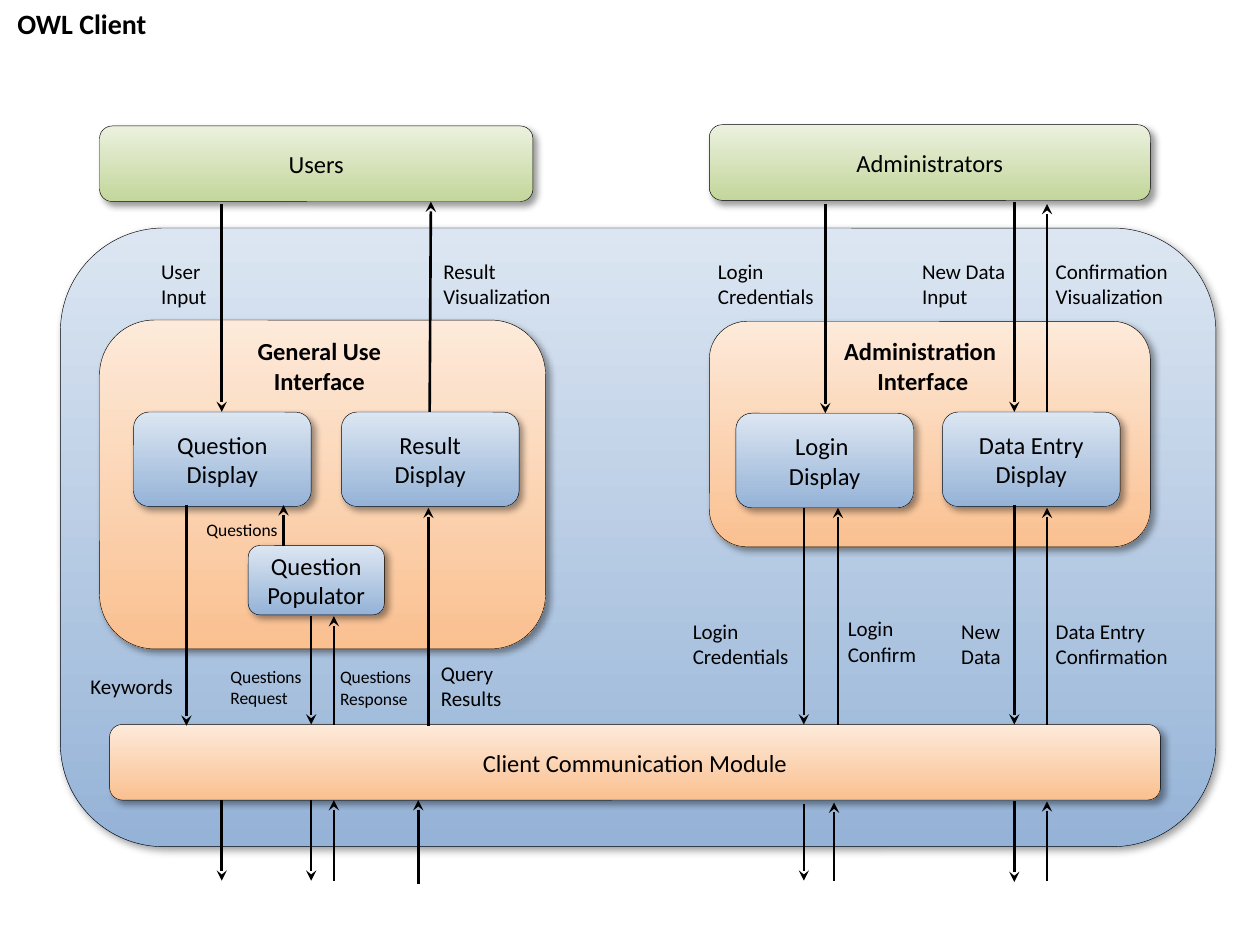
import pptx
import pptx.dml.color
import pptx.enum.shapes
import pptx.enum.text
import pptx.oxml
import pptx.oxml.ns
import pptx.util
from pptx.util import Inches

COLORS = {
    "ink": "000000",
    "blue": ("DCE6F2", "95B3D7"),
    "orange": ("FDEADA", "FAC090"),
    "green": ("EBF1DE", "C3D69B"),
}
INK = pptx.dml.color.RGBColor.from_string(COLORS["ink"])
NS = pptx.oxml.ns.nsdecls("a")
SHADOW = (
    f'<a:effectLst {NS}><a:outerShdw blurRad="50800" dist="38100" dir="2700000" '
    f'algn="tl" rotWithShape="0"><a:srgbClr val="{COLORS["ink"]}">'
    '<a:alpha val="40000"/></a:srgbClr></a:outerShdw></a:effectLst>'
)
LEFT = pptx.enum.text.PP_ALIGN.LEFT
CENTER = pptx.enum.text.PP_ALIGN.CENTER


def write_lines(frame, lines, size, align, bold=False):
    """Fill a text frame with one paragraph per line."""
    for index, line in enumerate(lines):
        para = frame.add_paragraph() if index else frame.paragraphs[0]
        para.alignment = align
        span = para.add_run()
        span.text = line
        span.font.name = "Calibri"
        span.font.size = pptx.util.Pt(size)
        span.font.bold = bold
        span.font.color.rgb = INK


deck = pptx.Presentation()
deck.slide_width, deck.slide_height = Inches(10), Inches(7.5)
page = deck.slides.add_slide(deck.slide_layouts[5])

title = page.shapes.title
title.left, title.top = Inches(0.03), Inches(0)
title.width, title.height = Inches(1.24), Inches(0.37)
title.text_frame.word_wrap = False
title.text_frame.auto_size = pptx.enum.text.MSO_AUTO_SIZE.NONE
title.text_frame.vertical_anchor = pptx.enum.text.MSO_ANCHOR.TOP
write_lines(title.text_frame, ["OWL Client"], 16, CENTER, bold=True)

# Panels and modules, back to front: left, top, width, height, colour, lines
modules = [
    (0.48, 1.81, 9.17, 4.91, "blue", []),
    (5.63, 2.55, 3.5, 1.79, "orange", []),
    (0.79, 2.54, 3.54, 2.61, "orange", []),
    (0.79, 1, 3.44, 0.6, "green", ["Users"]),
    (5.63, 0.99, 3.5, 0.6, "green", ["Administrators"]),
    (1.06, 3.27, 1.41, 0.75, "blue", ["Question", "Display"]),
    (2.71, 3.27, 1.41, 0.75, "blue", ["Result", "Display"]),
    (7.48, 3.27, 1.41, 0.75, "blue", ["Data Entry", "Display"]),
    (5.84, 3.28, 1.41, 0.75, "blue", ["Login ", "Display"]),
    (0.87, 5.75, 8.34, 0.6, "orange", ["Client Communication Module"]),
    (1.97, 4.33, 1.08, 0.55, "blue", ["Question Populator"]),
]
for left, top, width, height, color, lines in modules:
    box = page.shapes.add_shape(
        pptx.enum.shapes.MSO_SHAPE.ROUNDED_RECTANGLE,
        Inches(left), Inches(top), Inches(width), Inches(height))
    box.fill.gradient()
    box.fill.gradient_angle = 270
    for stop, shade in zip(box.fill.gradient_stops, COLORS[color]):
        stop.color.rgb = pptx.dml.color.RGBColor.from_string(shade)
    box.line.color.rgb = INK
    box.line.width = pptx.util.Pt(0.25)
    box._element.spPr.append(pptx.oxml.parse_xml(SHADOW))
    box.text_frame.word_wrap = True
    box.text_frame.vertical_anchor = pptx.enum.text.MSO_ANCHOR.MIDDLE
    write_lines(box.text_frame, lines, 14, CENTER)

# Arrows: start x, start y, end x, end y
arrows = [
    # People and displays
    (1.76, 1.62, 1.76, 3.27),
    (3.41, 3.27, 3.42, 1.6),
    (6.55, 1.62, 6.55, 3.28),
    (8.05, 1.6, 8.05, 3.27),
    (8.31, 3.27, 8.31, 1.62),
    # Displays, populator and communication module
    (1.48, 4.01, 1.48, 5.76),
    (2.25, 4.33, 2.25, 4.01),
    (2.47, 4.89, 2.47, 5.75),
    (2.65, 5.75, 2.65, 4.89),
    (3.4, 5.76, 3.4, 4.03),
    (6.38, 4.03, 6.38, 5.75),
    (6.65, 5.75, 6.65, 4.03),
    (8.05, 4.01, 8.05, 5.75),
    (8.31, 5.75, 8.31, 4.03),
    # Communication module and the outside
    (1.76, 6.35, 1.76, 6.99),
    (2.47, 6.35, 2.47, 6.99),
    (2.65, 6.99, 2.65, 6.35),
    (3.32, 7.02, 3.32, 6.35),
    (6.38, 6.38, 6.38, 6.99),
    (6.62, 6.99, 6.62, 6.37),
    (8.05, 6.36, 8.05, 7),
    (8.31, 6.99, 8.31, 6.36),
]
for ends in arrows:
    arrow = page.shapes.add_connector(
        pptx.enum.shapes.MSO_CONNECTOR.STRAIGHT, *map(Inches, ends))
    arrow.line.color.rgb = INK
    arrow.line.width = pptx.util.Pt(1.5)
    arrow.line._get_or_add_ln().append(
        pptx.oxml.parse_xml(f'<a:tailEnd {NS} type="stealth"/>'))
    arrow._element.spPr.append(pptx.oxml.parse_xml(f"<a:effectLst {NS}/>"))

# Labels: left, top, width, height, size, lines
labels = [
    (1.93, 2.62, 1.21, 0.57, 14, ["General Use ", "Interface"]),
    (6.59, 2.62, 1.47, 0.57, 14, ["Administration ", "Interface"]),
    (1.18, 2, 0.56, 0.5, 12, ["User", "Input"]),
    (3.42, 2, 1.06, 0.5, 12, ["Result", "Visualization"]),
    (5.6, 2, 0.97, 0.5, 12, ["Login", "Credentials"]),
    (7.22, 2, 0.87, 0.5, 12, ["New Data", "Input"]),
    (8.28, 2, 1.1, 0.5, 12, ["Confirmation", "Visualization"]),
    (0.62, 5.3, 0.86, 0.3, 12, ["Keywords"]),
    (3.4, 5.19, 0.69, 0.5, 12, ["Query", "Results"]),
    (5.4, 4.86, 0.97, 0.5, 12, ["Login", "Credentials"]),
    (6.63, 4.84, 0.75, 0.5, 12, ["Login", "Confirm"]),
    (7.53, 4.86, 0.55, 0.5, 12, ["New", "Data"]),
    (8.28, 4.86, 1.1, 0.5, 12, ["Data Entry", "Confirmation"]),
    (1.54, 4.07, 0.78, 0.27, 10, ["Questions"]),
    (1.73, 5.24, 0.78, 0.44, 10, ["Questions", "Request"]),
    (2.6, 5.24, 0.81, 0.45, 10, ["Questions", "Response"]),
]
for left, top, width, height, size, lines in labels:
    label = page.shapes.add_textbox(
        Inches(left), Inches(top), Inches(width), Inches(height))
    label.text_frame.word_wrap = False
    label.text_frame.auto_size = pptx.enum.text.MSO_AUTO_SIZE.SHAPE_TO_FIT_TEXT
    heading = size == 14
    write_lines(label.text_frame, lines, size, CENTER if heading else LEFT, bold=heading)

deck.save("out.pptx")
